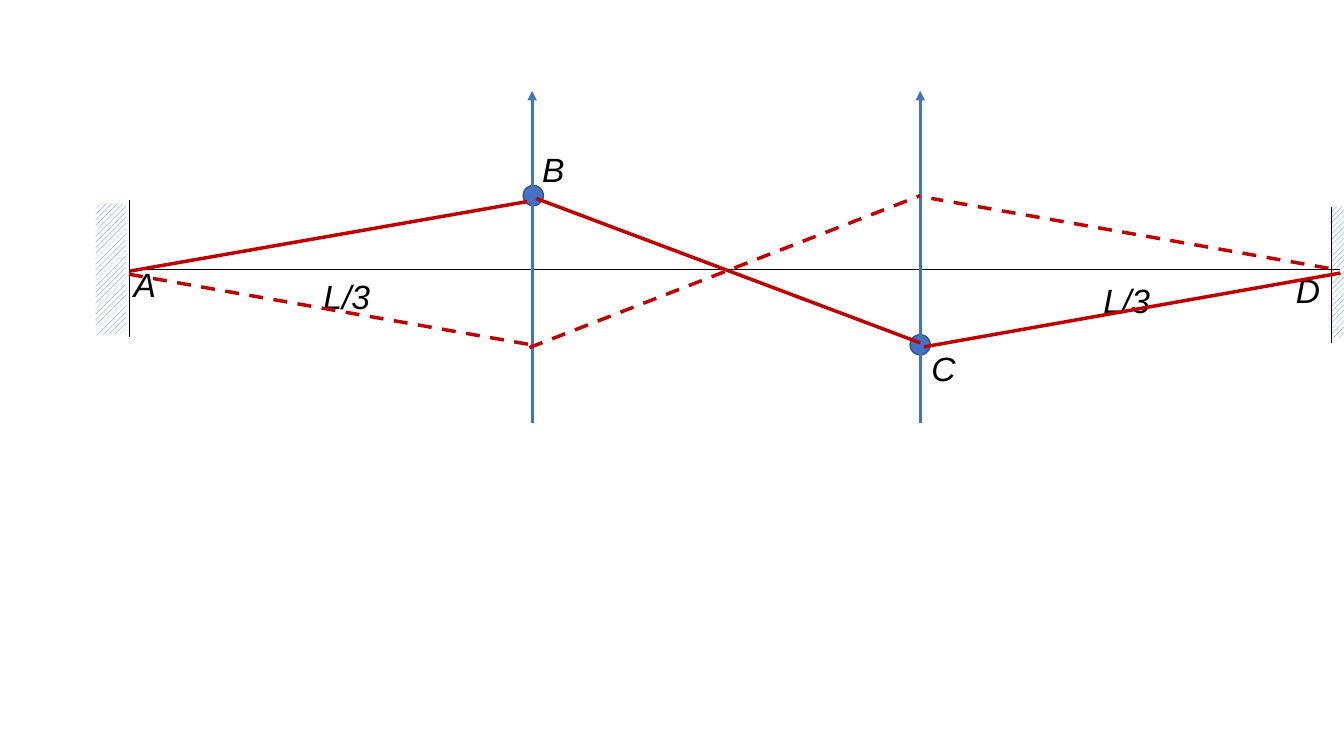
from lxml import etree
from pptx import Presentation
from pptx.dml.color import RGBColor
from pptx.enum.dml import MSO_LINE, MSO_PATTERN
from pptx.enum.shapes import MSO_CONNECTOR, MSO_SHAPE
from pptx.enum.text import MSO_AUTO_SIZE
from pptx.oxml.ns import qn
from pptx.util import Cm, Pt

STRAIGHT = MSO_CONNECTOR.STRAIGHT
RECT, OVAL = MSO_SHAPE.RECTANGLE, MSO_SHAPE.OVAL
HATCH = MSO_PATTERN.WIDE_UPWARD_DIAGONAL
DASH = MSO_LINE.DASH
GROW = MSO_AUTO_SIZE.SHAPE_TO_FIT_TEXT

FONT = "Arial"
COLORS = {"blue": "4472C4", "edge": "325491", "red": "C00000",
          "black": "000000", "white": "FFFFFF"}
BEAD = 0.51

# left, top, width
LABELS = [("L/3", 27.56, 6.93, 3.2), ("L/3", 7.9, 6.83, 1.7),
          ("A", 3.12, 6.53, 1.09), ("C", 23.22, 8.64, 1.14),
          ("B", 13.41, 3.63, 1.09), ("D", 32.41, 6.68, 1.14)]
# start and end of each stretch of string
SOLID = [((3.28, 6.83), (13.28, 5.08)), ((13.51, 5.0), (23.19, 8.64)),
         ((33.78, 6.88), (23.29, 8.74))]
DASHED = [((33.48, 6.76), (23.47, 5.0)), ((3.25, 6.91), (13.51, 8.71)),
          ((13.34, 8.76), (23.19, 4.93))]


def color(name):
    return RGBColor.from_string(COLORS[name])


def add_line(slide, start, end, tone, width, dash=None, arrow=False):
    ends = [Cm(v) for v in (*start, *end)]
    link = slide.shapes.add_connector(STRAIGHT, *ends)
    link.line.color.rgb = color(tone)
    link.line.width = Pt(width)
    if dash:
        link.line.dash_style = dash
    if arrow:
        etree.SubElement(link.line._get_or_add_ln(), qn("a:tailEnd"), type="triangle")
    etree.SubElement(link._element.spPr, qn("a:effectLst"))


def add_wall(slide, left, top, face, rise, foot):
    """Draw a hatched block and the line that marks its face."""
    block = slide.shapes.add_shape(RECT, Cm(left), Cm(top), Cm(0.76), Cm(3.3))
    block.shadow.inherit = False
    block.fill.patterned()
    block.fill.pattern = HATCH
    block.fill.fore_color.rgb = color("blue")
    block.fill.back_color.rgb = color("white")
    block.line.fill.background()
    add_line(slide, (face, rise), (face, foot), "black", 0.5)


def add_bead(slide, x, y):
    bead = slide.shapes.add_shape(OVAL, Cm(x - BEAD / 2), Cm(y - BEAD / 2),
                                  Cm(BEAD), Cm(BEAD))
    bead.shadow.inherit = False
    bead.fill.solid()
    bead.fill.fore_color.rgb = color("blue")
    bead.line.color.rgb = color("edge")
    bead.line.width = Pt(1)


def add_label(slide, text, left, top, width):
    box = slide.shapes.add_textbox(Cm(left), Cm(top), Cm(width), Cm(1.28))
    frame = box.text_frame
    frame.word_wrap = width > 2
    frame.auto_size = GROW
    run = frame.paragraphs[0].add_run()
    run.text = text
    run.font.name = FONT
    run.font.size = Pt(24)
    run.font.italic = True
    run.font.color.rgb = color("black")


def main():
    deck = Presentation()
    deck.slide_width, deck.slide_height = Cm(33.87), Cm(19.05)
    slide = deck.slides.add_slide(deck.slide_layouts[6])

    add_wall(slide, 2.41, 5.13, 3.25, 5.03, 8.48)
    add_wall(slide, 33.55, 5.21, 33.55, 5.21, 8.64)
    add_line(slide, (3.28, 6.78), (33.76, 6.78), "black", 0.5)
    add_bead(slide, 13.44, 4.93)
    add_bead(slide, 23.19, 8.69)
    for label in LABELS:
        add_label(slide, *label)
    for x in (23.19, 13.41):
        add_line(slide, (x, 10.67), (x, 2.29), "blue", 2.25, arrow=True)
    for start, end in SOLID:
        add_line(slide, start, end, "red", 2.5)
    for start, end in DASHED:
        add_line(slide, start, end, "red", 2.5, DASH)

    deck.save("out.pptx")


if __name__ == "__main__":
    main()
